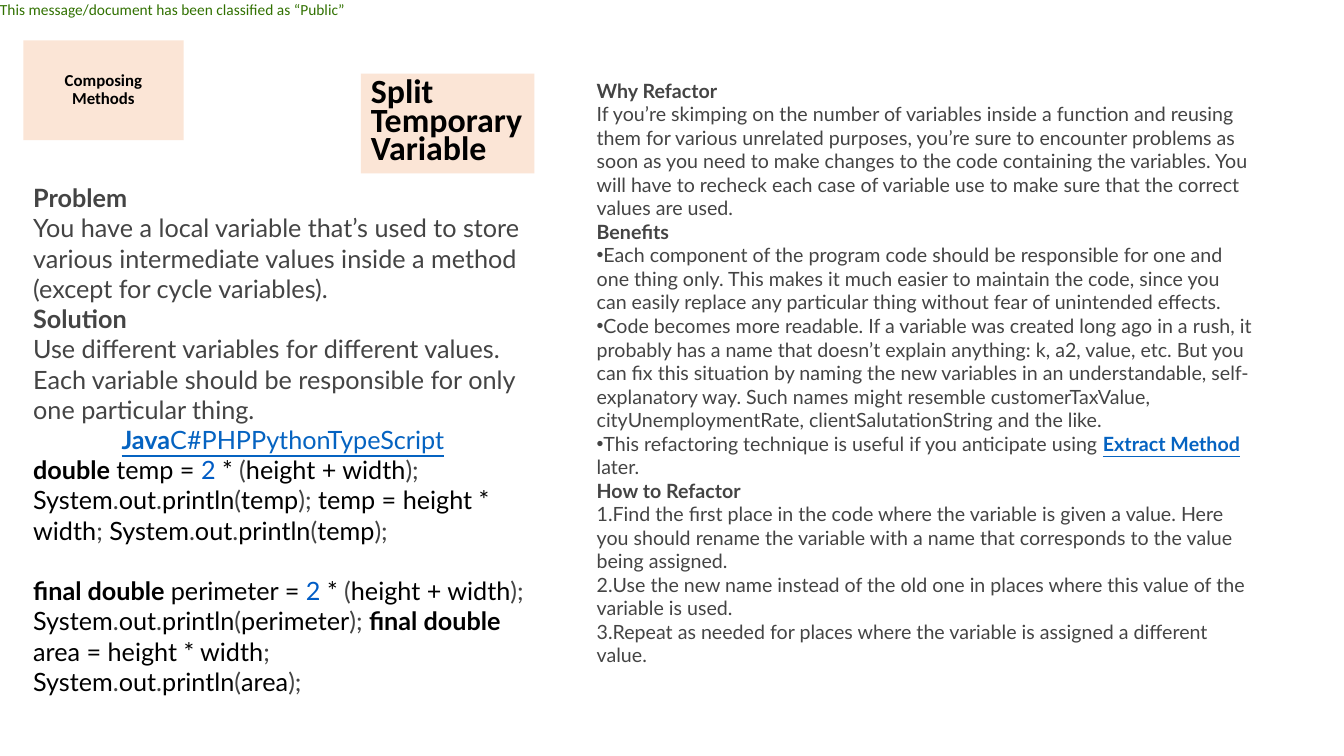
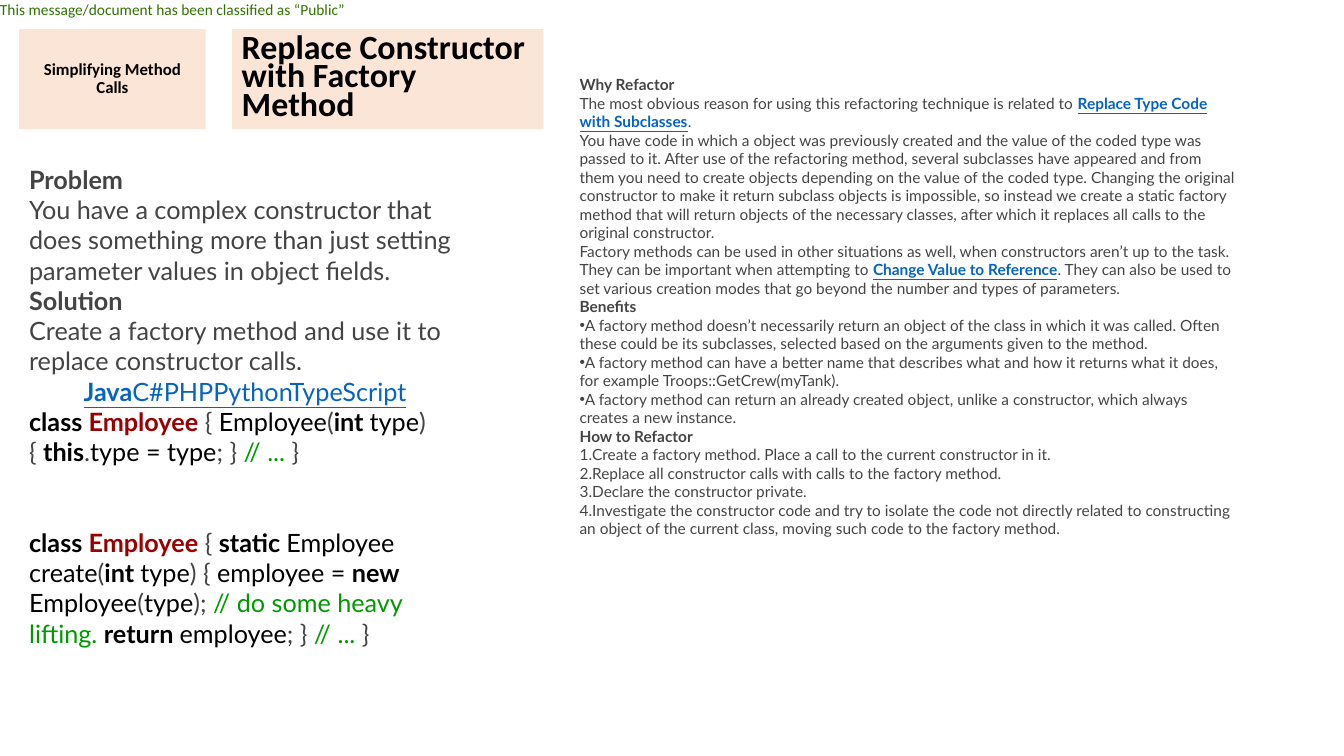
import lxml.etree
import pptx
import pptx.dml.color
import pptx.enum.shapes
import pptx.enum.text
import pptx.oxml.ns
import pptx.util

SLIDE_WIDTH = pptx.util.Inches(13.33)
SLIDE_HEIGHT = pptx.util.Inches(7.5)
ALIGN = pptx.enum.text.PP_ALIGN
BLACK, GREY, BLUE = "000000", "444444", "0563C1"
PEACH, GREEN = "FBE5D6", "317100"
TITLE_FONT, BODY_FONT = "Calibri", "Lato"
PROBLEM_SIZE = 18
CODE_LINE = 21.6
BANNER_BOX = (0, 0, 28.13, 2.4)
BANNER_TEXT = "This message/document has been classified as “Public”"

# Style name: colour, bold, underlined
STYLES = {
    "body": (GREY, False, False),
    "heading": (GREY, True, False),
    "link": (BLUE, True, True),
    "tab": (BLUE, False, True),
    "code": (BLACK, False, False),
    "keyword": (BLACK, True, False),
    "number": ("005CC5", False, False),
    "class": ("990000", True, False),
    "comment": ("009900", False, False),
    "banner": (GREEN, False, False),
}
LANGUAGES = [("link", "Java"), ("tab", "C#PHPPythonTypeScript")]
BULLETS = {
    "bullet": ("a:buChar", {"char": "•"}),
    "number": ("a:buAutoNum", {"type": "arabicPeriod"}),
}


def color(hex_code):
    return pptx.dml.color.RGBColor.from_string(hex_code)


def place(box):
    """Turn left, top, width and height in percent of the slide into lengths."""
    left, top, width, height = box
    return (int(SLIDE_WIDTH * left / 100), int(SLIDE_HEIGHT * top / 100),
            int(SLIDE_WIDTH * width / 100), int(SLIDE_HEIGHT * height / 100))


def add_runs(paragraph, runs, size, font_name):
    for style, text in runs:
        hex_code, bold, underline = STYLES[style]
        run = paragraph.add_run()
        run.text = text
        run.font.size = pptx.util.Pt(size)
        run.font.name = font_name
        run.font.bold = bold
        run.font.underline = underline
        run.font.color.rgb = color(hex_code)


def next_paragraph(frame):
    """Return the empty first paragraph, or a new one after the last."""
    last = frame.paragraphs[-1]
    return frame.add_paragraph() if last.runs else last


def add_text(frame, runs, size, bullet=None):
    """Add a body paragraph; runs is plain text or a list of (style, text)."""
    if isinstance(runs, str):
        runs = [("body", runs)]
    paragraph = next_paragraph(frame)
    if bullet:
        properties = paragraph._p.get_or_add_pPr()
        properties.set("marL", "0")
        properties.set("indent", "0")
        font = lxml.etree.SubElement(properties, pptx.oxml.ns.qn("a:buFont"))
        font.set("typeface", "Arial" if bullet == "bullet" else "+mj-lt")
        tag, attributes = BULLETS[bullet]
        lxml.etree.SubElement(properties, pptx.oxml.ns.qn(tag), attributes)
    add_runs(paragraph, runs, size, BODY_FONT)
    return paragraph


def add_text_box(slide, box):
    frame = slide.shapes.add_textbox(*place(box)).text_frame
    frame.word_wrap = True
    return frame


def add_banner(slide):
    frame = add_text_box(slide, BANNER_BOX)
    frame.margin_left = frame.margin_right = 0
    frame.margin_top = frame.margin_bottom = 0
    add_runs(frame.paragraphs[0], [("banner", BANNER_TEXT)], 11, TITLE_FONT)


def add_title_box(slide, box, text, size, alignment, line_spacing):
    shape = slide.shapes.add_shape(
        pptx.enum.shapes.MSO_SHAPE.RECTANGLE, *place(box))
    shape.shadow.inherit = False
    shape.fill.solid()
    shape.fill.fore_color.rgb = color(PEACH)
    shape.line.fill.background()
    frame = shape.text_frame
    frame.word_wrap = True
    frame.vertical_anchor = pptx.enum.text.MSO_ANCHOR.MIDDLE
    paragraph = frame.paragraphs[0]
    paragraph.alignment = alignment
    paragraph.line_spacing = line_spacing
    add_runs(paragraph, [("keyword", text)], size, TITLE_FONT)


def add_problem(slide, box, problem, solution, before, after, gap_lines):
    """Add problem, solution and the code before and after refactoring."""
    frame = add_text_box(slide, box)
    for heading, text in (("Problem", problem), ("Solution", solution)):
        add_text(frame, [("heading", heading)], PROBLEM_SIZE)
        add_text(frame, text, PROBLEM_SIZE)
    add_text(frame, LANGUAGES, PROBLEM_SIZE).alignment = ALIGN.CENTER
    add_text(frame, before, PROBLEM_SIZE)
    refactored = add_text(frame, after, PROBLEM_SIZE)
    refactored.space_before = pptx.util.Pt(CODE_LINE * gap_lines)


def add_reasons(slide, box, size, reasons, benefits, steps):
    frame = add_text_box(slide, box)
    sections = (("Why Refactor", reasons, None),
                ("Benefits", benefits, "bullet"),
                ("How to Refactor", steps, "number"))
    for heading, items, bullet in sections:
        add_text(frame, [("heading", heading)], size)
        for item in items:
            add_text(frame, item, size, bullet)


def add_refactoring_slide(presentation, content):
    slide = presentation.slides.add_slide(presentation.slide_layouts[6])
    add_banner(slide)
    add_title_box(slide, *content["category"], 12, ALIGN.CENTER, 0.9)
    add_title_box(slide, *content["technique"], 24.2, ALIGN.LEFT, 0.7)
    add_problem(slide, **content["problem"])
    add_reasons(slide, **content["reasons"])


def println(argument, ending):
    """Return the runs of a print statement."""
    return [("code", "System"), ("body", "."), ("code", "out"), ("body", "."),
            ("code", "println"), ("body", "("), ("code", argument),
            ("body", ending)]


def perimeter_runs(variable):
    """Return the runs that assign the perimeter to a variable and print it."""
    return [("code", variable + " = "), ("number", "2 "), ("code", "*"),
            ("body", " ("), ("code", "height + width"), ("body", "); "),
            *println(variable, "); ")]


EMPLOYEE_CLASS = [("keyword", "class "), ("class", "Employee"), ("body", " { ")]
TYPE_PARAMETER = [("body", "("), ("keyword", "int "), ("code", "type"),
                  ("body", ") { ")]
CLASS_END = [("body", "; } "), ("comment", "// ..."), ("body", " }")]

SPLIT_VARIABLE = {
    "category": ((1.73, 5.33, 11.93, 13.2), "Composing Methods"),
    "technique": ((26.86, 9.73, 12.9, 13.2), "Split Temporary Variable"),
    "problem": {
        "box": (1.73, 23.47, 38.63, 70),
        "problem": "You have a local variable that’s used to store various intermediate values inside a method (except for cycle variables).",
        "solution": "Use different variables for different values. Each variable should be responsible for only one particular thing.",
        "before": [
            ("keyword", "double "), *perimeter_runs("temp"),
            ("code", "temp = height * width"), ("body", "; "),
            *println("temp", ");")],
        "after": [
            ("keyword", "final double "), *perimeter_runs("perimeter"),
            ("keyword", "final double "), ("code", "area = height * width"),
            ("body", "; "), *println("area", ");")],
        "gap_lines": 1,
    },
    "reasons": {
        "box": (43.66, 9.73, 50.34, 83.07),
        "size": 14,
        "reasons": [
            "If you’re skimping on the number of variables inside a function and reusing them for various unrelated purposes, you’re sure to encounter problems as soon as you need to make changes to the code containing the variables. You will have to recheck each case of variable use to make sure that the correct values are used."],
        "benefits": [
            "Each component of the program code should be responsible for one and one thing only. This makes it much easier to maintain the code, since you can easily replace any particular thing without fear of unintended effects.",
            "Code becomes more readable. If a variable was created long ago in a rush, it probably has a name that doesn’t explain anything: k, a2, value, etc. But you can fix this situation by naming the new variables in an understandable, self-explanatory way. Such names might resemble customerTaxValue, cityUnemploymentRate, clientSalutationString and the like.",
            [("body", "This refactoring technique is useful if you anticipate using "),
             ("link", "Extract Method"), ("body", " later.")]],
        "steps": [
            "Find the first place in the code where the variable is given a value. Here you should rename the variable with a name that corresponds to the value being assigned.",
            "Use the new name instead of the old one in places where this value of the variable is used.",
            "Repeat as needed for places where the variable is assigned a different value."],
    },
}

FACTORY_METHOD = {
    "category": ((1.43, 3.87, 13.88, 13.2), "Simplifying Method Calls"),
    "technique": ((17.25, 3.87, 23.18, 13.2),
                  "Replace Constructor with Factory Method"),
    "problem": {
        "box": (1.43, 21.07, 33.61, 74),
        "problem": "You have a complex constructor that does something more than just setting parameter values in object fields.",
        "solution": "Create a factory method and use it to replace constructor calls.",
        "before": [
            *EMPLOYEE_CLASS, ("code", "Employee"), *TYPE_PARAMETER,
            ("keyword", "this"), ("body", "."), ("code", "type = type"),
            *CLASS_END],
        "after": [
            *EMPLOYEE_CLASS, ("keyword", "static "),
            ("code", "Employee create"), *TYPE_PARAMETER,
            ("code", "employee = "), ("keyword", "new "),
            ("code", "Employee"), ("body", "("), ("code", "type"),
            ("body", "); "), ("comment", "// do some heavy lifting. "),
            ("keyword", "return "), ("code", "employee"), *CLASS_END],
        "gap_lines": 2,
    },
    "reasons": {
        "box": (42.39, 9.33, 50.34, 63.07),
        "size": 11,
        "reasons": [
            [("body", "The most obvious reason for using this refactoring technique is related to "),
             ("link", "Replace Type Code with Subclasses"), ("body", ".")],
            "You have code in which a object was previously created and the value of the coded type was passed to it. After use of the refactoring method, several subclasses have appeared and from them you need to create objects depending on the value of the coded type. Changing the original constructor to make it return subclass objects is impossible, so instead we create a static factory method that will return objects of the necessary classes, after which it replaces all calls to the original constructor.",
            [("body", "Factory methods can be used in other situations as well, when constructors aren’t up to the task. They can be important when attempting to "),
             ("link", "Change Value to Reference"),
             ("body", ". They can also be used to set various creation modes that go beyond the number and types of parameters.")]],
        "benefits": [
            "A factory method doesn’t necessarily return an object of the class in which it was called. Often these could be its subclasses, selected based on the arguments given to the method.",
            "A factory method can have a better name that describes what and how it returns what it does, for example Troops::GetCrew(myTank).",
            "A factory method can return an already created object, unlike a constructor, which always creates a new instance."],
        "steps": [
            "Create a factory method. Place a call to the current constructor in it.",
            "Replace all constructor calls with calls to the factory method.",
            "Declare the constructor private.",
            "Investigate the constructor code and try to isolate the code not directly related to constructing an object of the current class, moving such code to the factory method."],
    },
}


def main():
    presentation = pptx.Presentation()
    presentation.slide_width = SLIDE_WIDTH
    presentation.slide_height = SLIDE_HEIGHT
    for content in (SPLIT_VARIABLE, FACTORY_METHOD):
        add_refactoring_slide(presentation, content)
    presentation.save("out.pptx")


if __name__ == "__main__":
    main()
